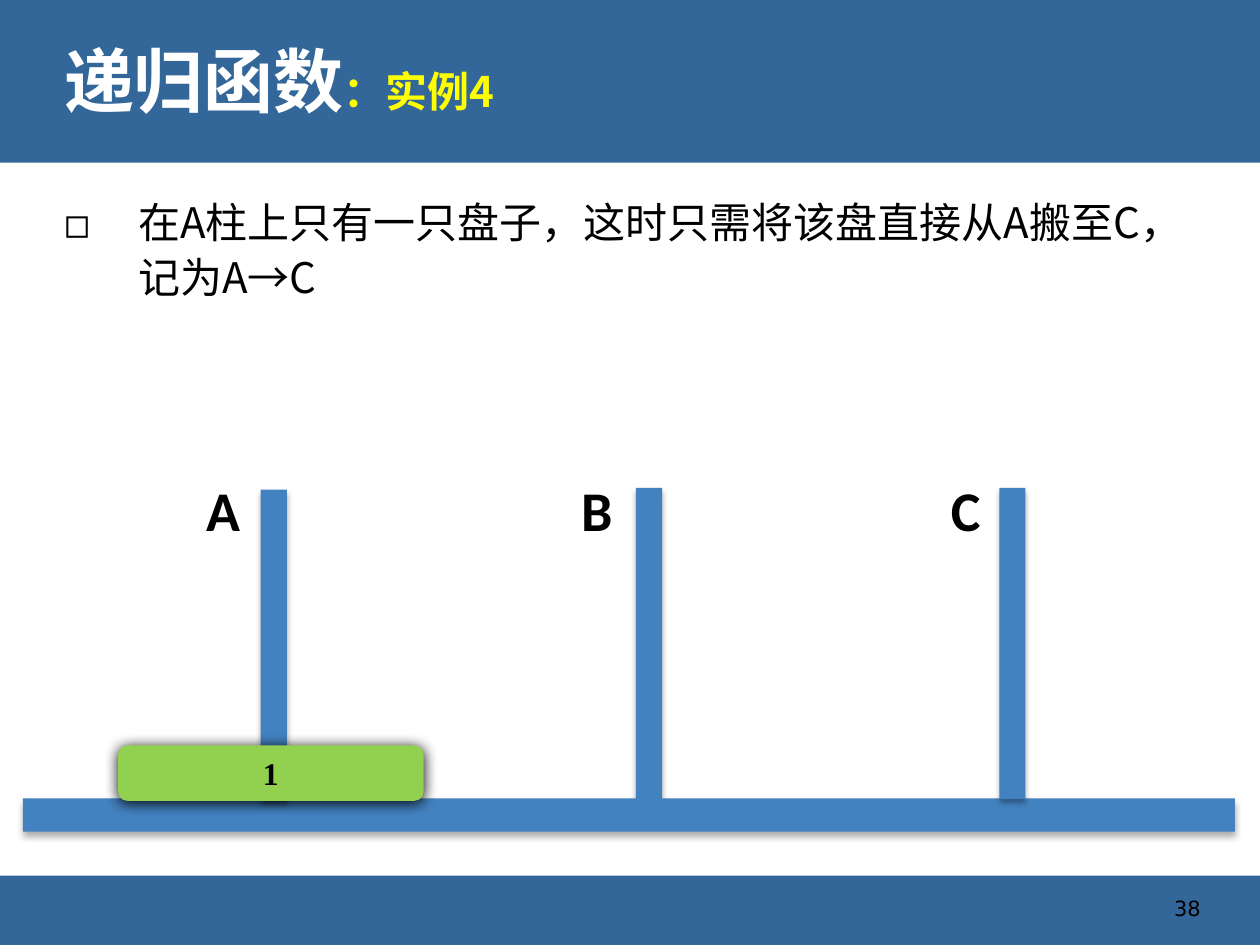
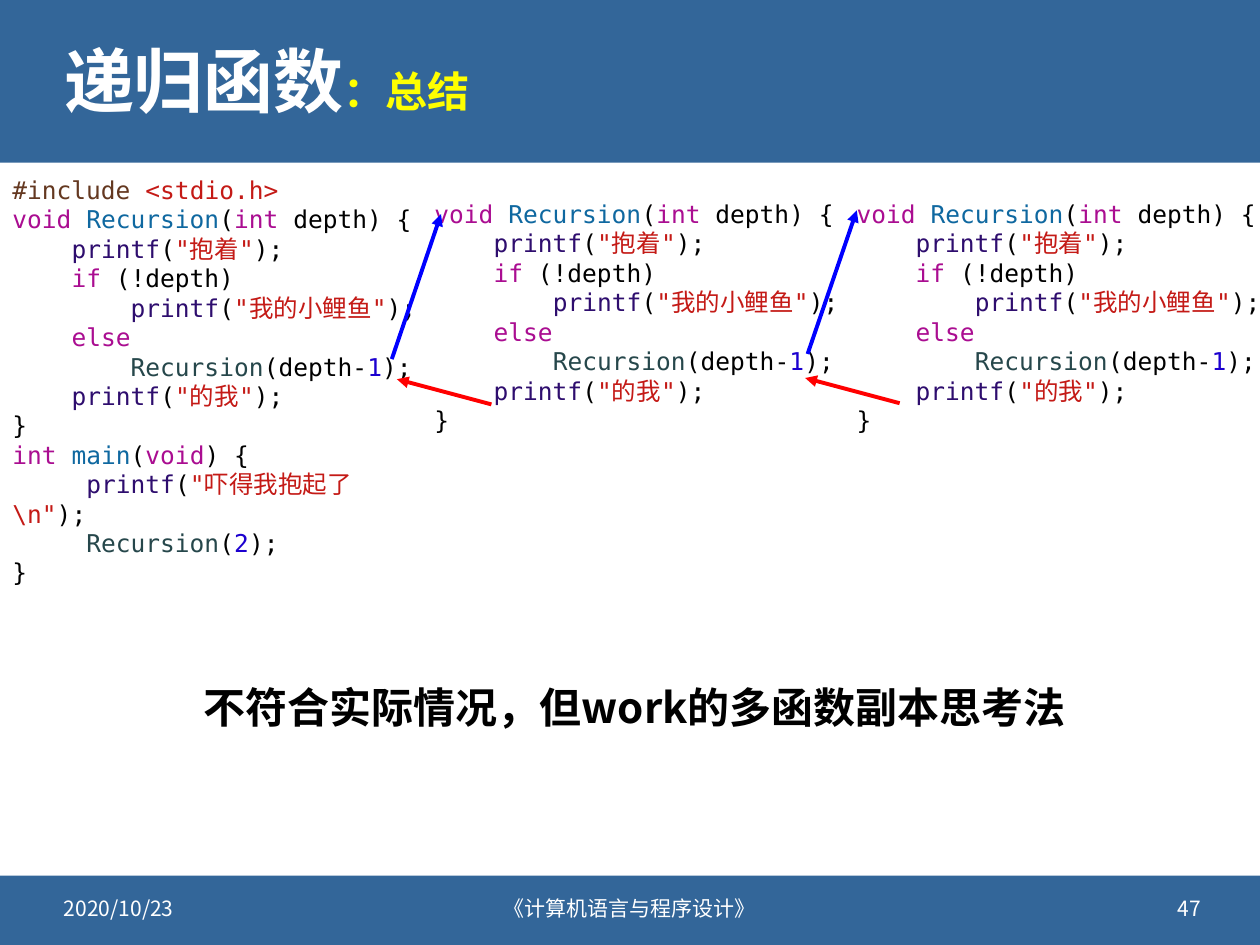
from lxml import etree
from pptx import Presentation
from pptx import util as u
from pptx.dml.color import RGBColor
from pptx.enum import shapes, text as t
from pptx.oxml.ns import qn

BAND = RGBColor(0x33, 0x66, 0x99)
WOOD = RGBColor(0x43, 0x82, 0xC1)
DISC = RGBColor(0x92, 0xD0, 0x50)
WHITE = RGBColor(0xFF, 0xFF, 0xFF)
BLACK = RGBColor(0x00, 0x00, 0x00)
YELLOW = RGBColor(0xFF, 0xFF, 0x00)
BLUE = RGBColor(0x00, 0x00, 0xFF)
RED = RGBColor(0xFF, 0x00, 0x00)
DIRECTIVE = RGBColor(0x64, 0x38, 0x20)
STRING = RGBColor(0xC4, 0x1A, 0x16)
KEYWORD = RGBColor(0xAA, 0x0D, 0x91)
DEFINED = RGBColor(0x0F, 0x68, 0xA0)
LIBRARY = RGBColor(0x2E, 0x0D, 0x6E)
CALLED = RGBColor(0x26, 0x47, 0x4B)
NUMBER = RGBColor(0x1C, 0x00, 0xCF)

CJK = "Noto Sans CJK SC"
MONO = "DejaVu Sans Mono"
LEFT, CENTER, RIGHT = t.PP_ALIGN.LEFT, t.PP_ALIGN.CENTER, t.PP_ALIGN.RIGHT
TOP, MIDDLE = t.MSO_ANCHOR.TOP, t.MSO_ANCHOR.MIDDLE


def add_text(s, box, paras, into=None, font=CJK, size=24, color=BLACK, bold=False,
             align=LEFT, anchor=TOP, spacing=1.0, wrap=True, bullet=None, indent=0):
    """Write paragraphs, each a string or a list of (text, color[, size]) runs."""
    sp = into or s.shapes.add_textbox(*map(u.Pt, box))
    tf = sp.text_frame
    tf.word_wrap, tf.vertical_anchor = wrap, anchor
    for i, runs in enumerate(paras):
        p = tf.paragraphs[0] if i == 0 else tf.add_paragraph()
        p.alignment, p.line_spacing = align, spacing
        if bullet:
            pPr = p._p.get_or_add_pPr()
            pPr.set("marL", str(u.Pt(indent)))
            pPr.set("indent", str(-u.Pt(indent)))
            etree.SubElement(pPr, qn("a:buFont"), typeface=CJK)
            etree.SubElement(pPr, qn("a:buChar"), char=bullet)
        for words, run_color, *run_size in [(runs, color)] if isinstance(runs, str) else runs:
            r = p.add_run()
            r.text = words
            r.font.name, r.font.bold = font, bold
            r.font.size = u.Pt(run_size[0] if run_size else size)
            r.font.color.rgb = run_color
            etree.SubElement(r._r.get_or_add_rPr(), qn("a:ea"), typeface=CJK)


def add_block(s, box, fill, kind=shapes.MSO_SHAPE.RECTANGLE, shadow=None):
    """Add a filled shape; shadow is (opacity %, blur, distance), cast downwards."""
    sp = s.shapes.add_shape(kind, *map(u.Pt, box))
    sp.shadow.inherit = False
    sp.fill.solid()
    sp.fill.fore_color.rgb = fill
    sp.line.fill.background()
    if shadow:
        opacity, blur, distance = shadow
        effects = sp._element.spPr.find(qn("a:effectLst"))
        outer = etree.SubElement(effects, qn("a:outerShdw"), blurRad=str(u.Pt(blur)),
                                 dist=str(u.Pt(distance)), dir="5400000", rotWithShape="0")
        clr = etree.SubElement(outer, qn("a:srgbClr"), val="000000")
        etree.SubElement(clr, qn("a:alpha"), val=str(opacity * 1000))
    return sp


prs = Presentation()
prs.slide_width, prs.slide_height = u.Pt(720), u.Pt(540)

# Shared frame: bands, title and footers
FOOTERS = {"date": (29.5, 172.8, LEFT), "course": (230.4, 259.2, CENTER),
           "number": (520.5, 172.8, RIGHT)}
frames = [
    ("：实例4", {"number": "38"}, "DejaVu Sans", BLACK),
    ("：总结", {"date": "2020/10/23", "course": "《计算机语言与程序设计》", "number": "47"},
     CJK, WHITE),
]
for subtitle, footers, footer_font, footer_color in frames:
    s = prs.slides.add_slide(prs.slide_layouts[6])
    add_block(s, (0, 0, 720, 92.9), BAND)
    add_block(s, (0, 500.4, 720, 39.6), BAND)
    add_text(s, (29.5, 13, 661.7, 71.3), [[("递归函数", WHITE, 40), (subtitle, YELLOW)]],
             bold=True, anchor=MIDDLE, spacing=0.9)
    for place, words in footers.items():
        x, w, align = FOOTERS[place]
        add_text(s, (x, 504.7, w, 28.8), [words], font=footer_font, size=12,
                 color=footer_color, align=align, anchor=MIDDLE)
hanoi, summary = prs.slides

# Slide 1: three pegs, one disc
add_text(hanoi, (29.5, 105.8, 661.7, 380), ["在A柱上只有一只盘子，这时只需将该盘直接从A搬至C，记为A→C"],
         spacing=1.1, bullet="◻", indent=42.5)
PEG_W, PEG_H = 15, 177.8
peg_a, peg_b, peg_c = [(x, y, PEG_W, PEG_H)
                       for x, y in ((149, 279.8), (363.4, 278.8), (571, 278.8))]
base = (13, 456.2, 692.6, 19)
for box in (peg_b, base, peg_a, peg_c):
    add_block(hanoi, box, WOOD, shadow=(32, 3.5, 2.2))
for name, x in (("A", 110.7), ("B", 325), ("C", 536.2)):
    add_text(hanoi, (x, 268, 32, 46), [name], font="Calibri", size=32, bold=True, wrap=False)
disc = add_block(hanoi, (67.5, 426, 174.6, 31.7), DISC,
                 shapes.MSO_SHAPE.ROUNDED_RECTANGLE, (100, 8.5, 1))
add_text(hanoi, None, ["1"], into=disc, font="Times New Roman", size=18, bold=True,
         align=CENTER, anchor=MIDDLE)

# Slide 2: copies of the function, with calls and returns between them
STEP = " " * 4


def print_line(indent, string):
    return [(indent, BLACK), ("printf", LIBRARY), ("(", BLACK),
            (f'"{string}"', STRING), (");", BLACK)]


recursion = [
    [("void ", KEYWORD), ("Recursion", DEFINED), ("(", BLACK), ("int", KEYWORD),
     (" depth) {", BLACK)],
    print_line(STEP, "抱着"),
    [(STEP, BLACK), ("if", KEYWORD), (" (!depth)", BLACK)],
    print_line(STEP * 2, "我的小鲤鱼"),
    [(STEP, BLACK), ("else", KEYWORD)],
    [(STEP * 2, BLACK), ("Recursion", CALLED), ("(depth-", BLACK), ("1", NUMBER),
     (");", BLACK)],
    print_line(STEP, "的我"),
    "}",
]
include = [("#include ", DIRECTIVE), ("<stdio.h>", STRING)]
main_code = [
    [("int ", KEYWORD), ("main", DEFINED), ("(", BLACK), ("void", KEYWORD), (") {", BLACK)],
    print_line(STEP + " ", "吓得我抱起了\\n"),
    [(STEP + " ", BLACK), ("Recursion", CALLED), ("(", BLACK), ("2", NUMBER), (");", BLACK)],
    "}",
]
listings = [(0, 96.5, 227.5, [include, *recursion, *main_code]),
            (241.2, 110.2, 143.3, recursion), (482.4, 110.2, 143.3, recursion)]
for x, y, h, code in listings:
    add_text(summary, (x, y, 249.1, h), code, font=MONO, size=14)

arrows = [
    (BLUE, 223.9, 205.2, 252, 122.4), (BLUE, 461.5, 202.3, 489.6, 120.2),
    (RED, 280.8, 231.1, 226.8, 216.7), (RED, 514.1, 230.4, 460.1, 216),
]
for color, *ends in arrows:
    c = summary.shapes.add_connector(shapes.MSO_CONNECTOR.STRAIGHT, *map(u.Pt, ends))
    c.line.color.rgb = color
    c.line.width = u.Pt(2.25)
    etree.SubElement(c.line._get_or_add_ln(), qn("a:tailEnd"), type="triangle")
    etree.SubElement(c._element.spPr, qn("a:effectLst"))

add_text(summary, (109.4, 385.9, 511.9, 36), ["不符合实际情况，但work的多函数副本思考法"], bold=True)

prs.save("out.pptx")
